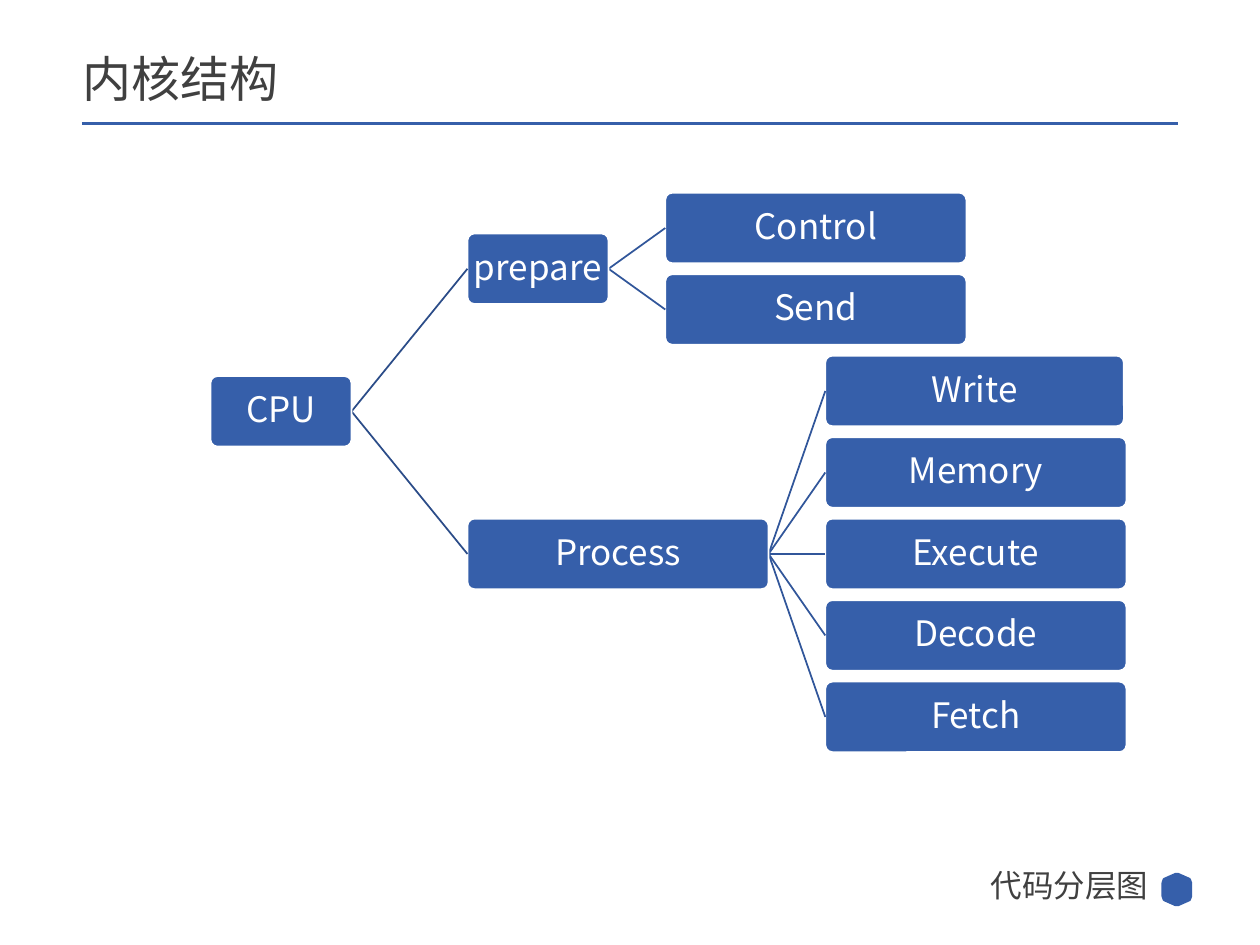
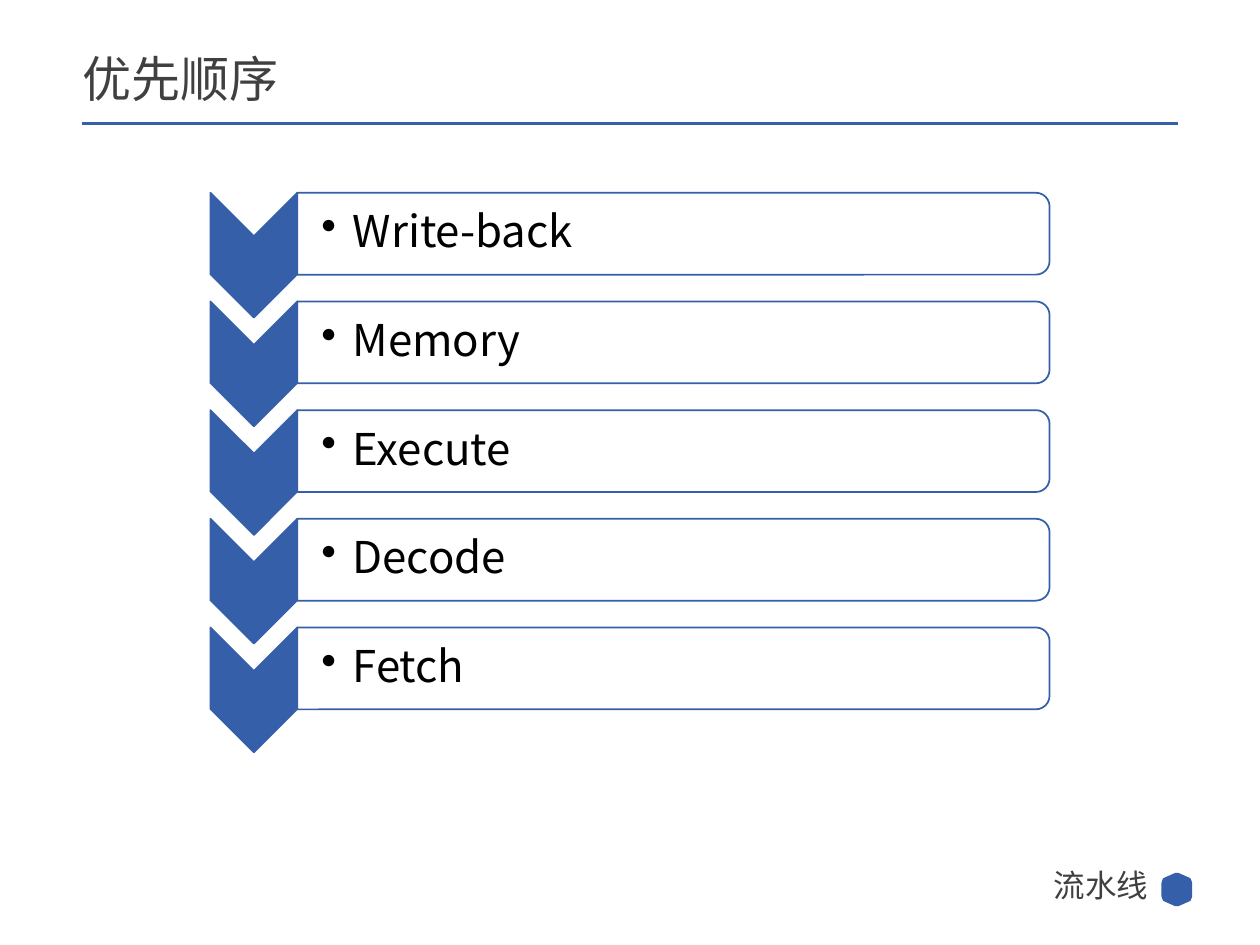
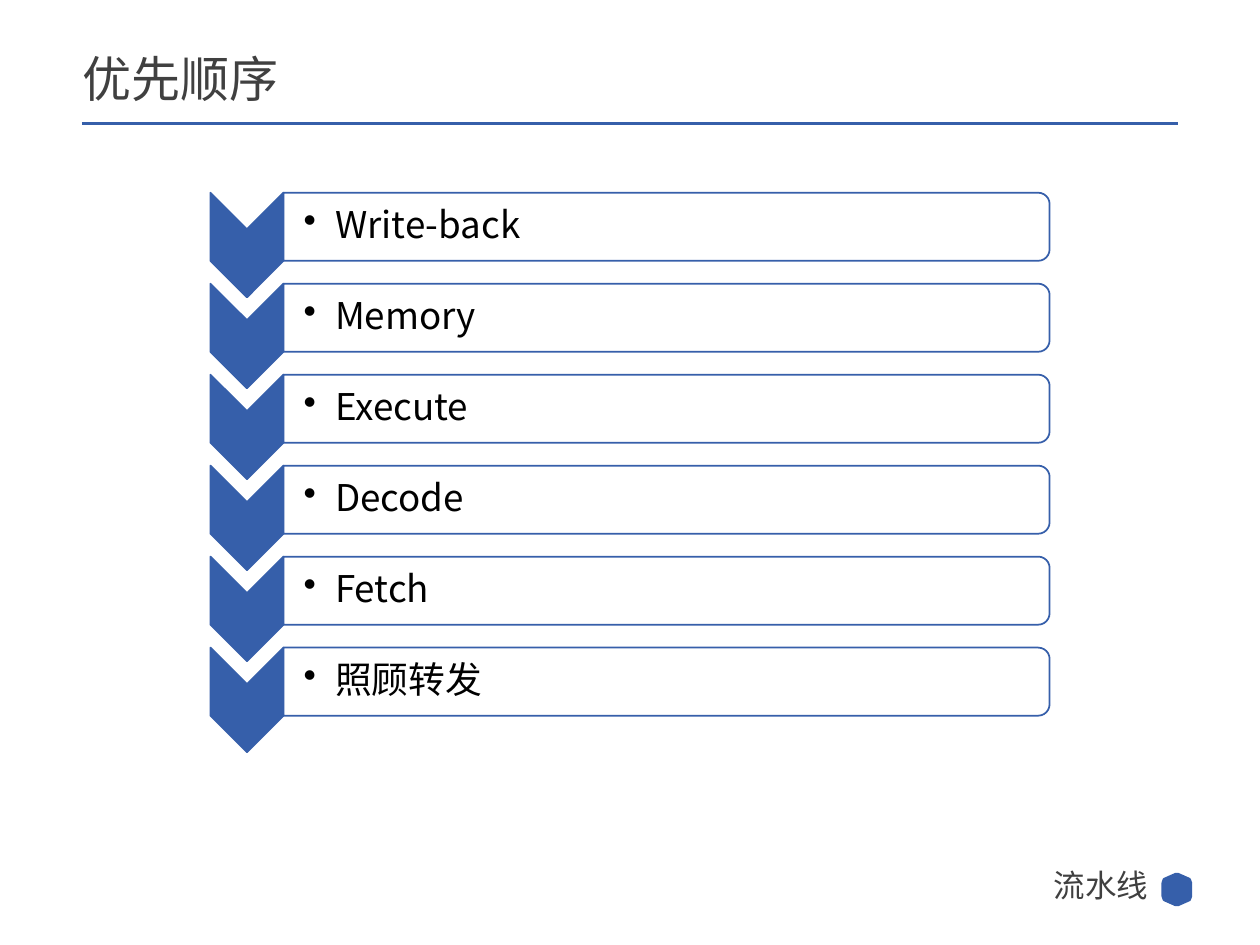
from dataclasses import dataclass
from lxml.etree import SubElement
from pptx import Presentation
from pptx.dml.color import RGBColor
from pptx.enum.shapes import MSO_CONNECTOR, MSO_SHAPE
from pptx.enum.text import MSO_ANCHOR, PP_ALIGN
from pptx.oxml.ns import qn
from pptx.util import Inches, Pt


@dataclass(frozen=True)
class Theme:
    font: str = "Noto Sans CJK SC"
    blue: str = "365FAA"
    stem: str = "2B4C88"
    twig: str = "31569A"
    white: str = "FFFFFF"
    black: str = "000000"
    grey: str = "404040"
    title: int = 28
    foot: int = 18
    node: int = 20
    thin: float = 1
    rule: float = 1.5
    badge: float = 1.75


class Deck:
    def __init__(self, theme):
        self.theme = theme
        self.show = Presentation()
        self.show.slide_width = Inches(10)
        self.show.slide_height = Inches(7.5)
        self.slide = None

    def page(self, title, foot):
        theme = self.theme
        self.slide = self.show.slides.add_slide(self.show.slide_layouts[6])
        self.line((0.65, 0.98), (9.35, 0.98), theme.blue, theme.rule)
        self.badge(9.34, 7.06)
        self.label((0.56, 0.41, 5.28, 0.48), title, theme.title, theme.grey)
        self.label((3.83, 6.88, 5.38, 0.33), foot, theme.foot, theme.grey,
                   PP_ALIGN.RIGHT)

    def line(self, start, end, color, width):
        points = [Inches(v) for v in (*start, *end)]
        link = self.slide.shapes.add_connector(MSO_CONNECTOR.STRAIGHT, *points)
        link.line.color.rgb = RGBColor.from_string(color)
        link.line.width = Pt(width)
        SubElement(link._element.spPr, qn("a:effectLst"))

    def paint(self, shape, fill, edge, width):
        shape.shadow.inherit = False
        shape.fill.solid()
        shape.fill.fore_color.rgb = RGBColor.from_string(fill)
        shape.line.color.rgb = RGBColor.from_string(edge)
        shape.line.width = Pt(width)

    def badge(self, x, y):
        arc = [(0.01, -0.12), (0.1, -0.08), (0.11, -0.05)]
        right = arc + [(a, -b) for a, b in reversed(arc)]
        ring = right + [(-a, -b) for a, b in right]
        dots = [(Inches(x + a), Inches(y + b)) for a, b in ring]
        outline = self.slide.shapes.build_freeform(*dots[0])
        outline.add_line_segments(dots[1:], close=True)
        blue = self.theme.blue
        self.paint(outline.convert_to_shape(), blue, blue, self.theme.badge)

    def shape(self, kind, box, fill, edge, turned=False):
        x, y, w, h = box
        if turned:
            x, y, w, h = x + (w - h) / 2, y + (h - w) / 2, h, w
        item = self.slide.shapes.add_shape(
            kind, *[Inches(v) for v in (x, y, w, h)])
        if turned:
            item.rotation = 90
        self.paint(item, fill, edge, self.theme.thin)
        return item

    def put_text(self, shape, text, size, color, align, pad):
        frame = shape.text_frame
        frame.word_wrap = True
        frame.vertical_anchor = MSO_ANCHOR.MIDDLE
        frame.margin_left = frame.margin_right = Inches(pad)
        frame.margin_top = frame.margin_bottom = Inches(0)
        para = frame.paragraphs[0]
        para.alignment = align
        para.line_spacing = 0.9
        run = para.add_run()
        run.text = text
        run.font.size = Pt(size)
        run.font.name = self.theme.font
        run.font.color.rgb = RGBColor.from_string(color)
        east = SubElement(run._r.get_or_add_rPr(), qn("a:ea"))
        east.set("typeface", self.theme.font)
        return para

    def label(self, box, text, size, color, align=PP_ALIGN.LEFT, pad=0.1):
        area = self.slide.shapes.add_textbox(*[Inches(v) for v in box])
        return self.put_text(area, text, size, color, align, pad)

    def bullet(self, box, text, size, pad):
        para = self.label(box, text, size, self.theme.black, pad=pad)
        props = para._p.get_or_add_pPr()
        props.set("marL", str(Inches(0.25)))
        props.set("indent", str(Inches(-0.25)))
        SubElement(props, qn("a:buChar")).set("char", "•")

    def node(self, box, text):
        theme = self.theme
        item = self.shape(MSO_SHAPE.ROUNDED_RECTANGLE, box, theme.blue,
                          theme.white)
        item.adjustments[0] = 0.1
        self.put_text(item, text, theme.node, theme.white, PP_ALIGN.CENTER,
                      0.02)

    def tree(self, branch, x, row=0, depth=0):
        text, width, kids = branch
        tall, pitch = 0.56, 3.88 / 6
        gap, color = (0.45, self.theme.twig) if depth else (0.92, self.theme.stem)
        mids = []
        for kid in kids:
            mid, row = self.tree(kid, x + width + gap, row, depth + 1)
            mids.append(mid)
        if kids:
            middle = (mids[0] + mids[-1]) / 2
        else:
            middle = 1.53 + tall / 2 + row * pitch
            row += 1
        for mid in mids:
            self.line((x + width, middle), (x + width + gap, mid), color,
                      self.theme.thin)
        self.node((x, middle - tall / 2, width, tall), text)
        return middle, row

    def steps(self, names, arrow, tall, size, pad):
        theme = self.theme
        left, top, right, span = 1.67, 1.53, 8.33, 4.44
        wide, high = arrow
        pitch = (span - high) / (len(names) - 1)
        for i, name in enumerate(names):
            y = top + i * pitch
            self.shape(MSO_SHAPE.CHEVRON, (left, y, wide, high), theme.blue,
                       theme.blue, turned=True)
            box = (left + wide, y, right - left - wide, tall)
            bar = self.shape(MSO_SHAPE.ROUND_2_SAME_RECTANGLE, box,
                             theme.white, theme.blue, turned=True)
            tint = bar._element.spPr.find(qn("a:solidFill"))[0]
            SubElement(tint, qn("a:alpha")).set("val", "90000")
            self.bullet(box, name, size, pad)


def main():
    deck = Deck(Theme())
    small, large = 1.12, 2.39
    stages = ["Memory", "Execute", "Decode", "Fetch"]
    ready = ("prepare", small,
             [(name, large, []) for name in ("Control", "Send")])
    work = ("Process", large,
            [("Write", 2.37, [])] + [(name, large, []) for name in stages])
    deck.page("内核结构", "代码分层图")
    deck.tree(("CPU", small, [ready, work]), 1.67)

    order = ["Write-back"] + stages
    for names, arrow, tall, size, pad in (
            (order, (0.69, 0.99), 0.65, 25, 0.19),
            (order + ["照顾转发"], (0.58, 0.83), 0.54, 21, 0.16)):
        deck.page("优先顺序", "流水线")
        deck.steps(names, arrow, tall, size, pad)
    deck.show.save("out.pptx")


if __name__ == "__main__":
    main()
